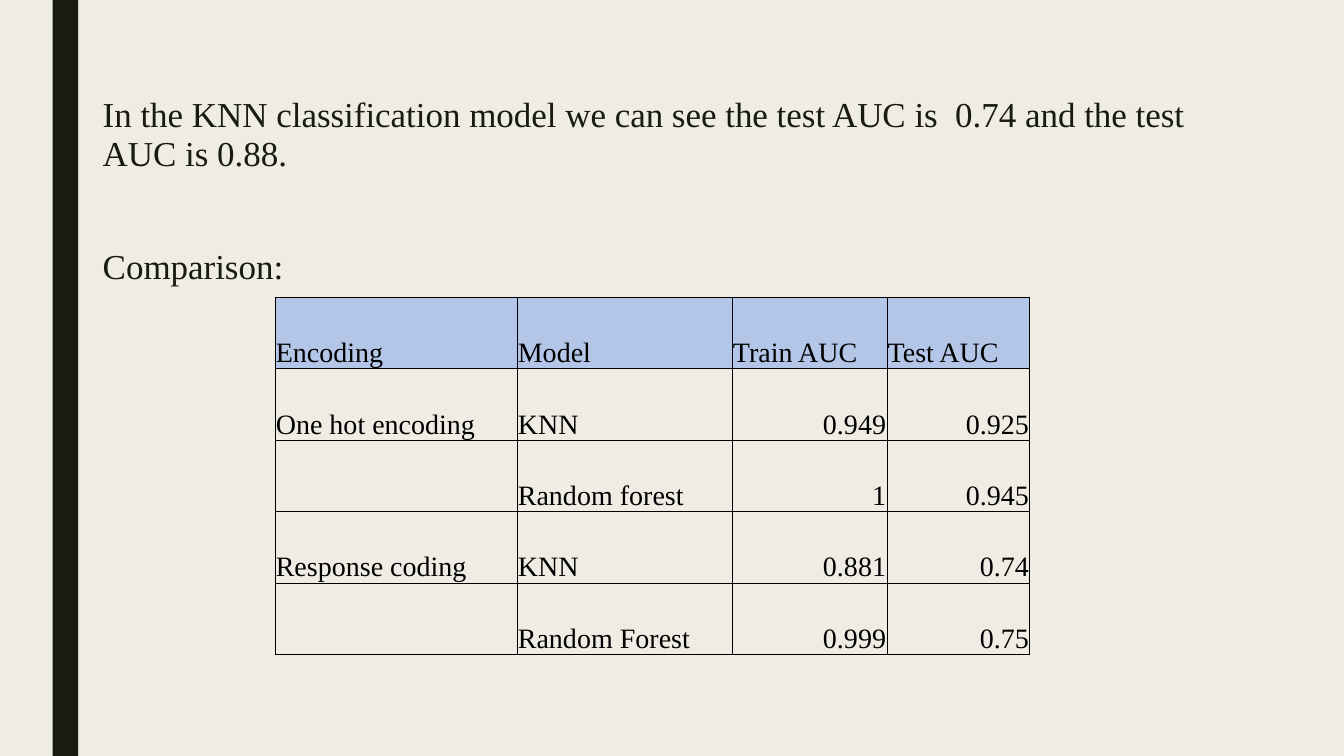
import pptx
import pptx.util
import pptx.dml.color
import pptx.enum.shapes
import pptx.enum.text
import pptx.oxml
import pptx.oxml.ns
import lxml.etree

Cm = pptx.util.Cm
Pt = pptx.util.Pt

COLORS = {"background": "EFEDE3", "ink": "191B0E", "header": "B4C6E7", "table": "000000"}
FONT = "Times New Roman"
STATEMENTS = [
    ("In the KNN classification model we can see the test AUC is  0.74 and the test AUC is 0.88. ", 10),
    ("Comparison:", 50),
]
RESULTS = [
    ("Encoding", "Model", "Train AUC", "Test AUC"),
    ("One hot encoding", "KNN", "0.949", "0.925"),
    ("", "Random forest", "1", "0.945"),
    ("Response coding", "KNN", "0.881", "0.74"),
    ("", "Random Forest", "0.999", "0.75"),
]
COLUMN_WIDTHS = [6.1, 5.42, 3.9, 3.6]
ROW_HEIGHT = 1.8
FIRST_NUMBER_COLUMN = 2


def rgb(name):
    return pptx.dml.color.RGBColor.from_string(COLORS[name])


def style_font(font, size, color):
    font.name = FONT
    font.size = Pt(size)
    font.color.rgb = rgb(color)


def add_borders(cell):
    properties = cell._tc.get_or_add_tcPr()
    for position, side in enumerate(("lnL", "lnR", "lnT", "lnB")):
        border = pptx.oxml.parse_xml(
            f'<a:{side} {pptx.oxml.ns.nsdecls("a")} w="{Pt(0.5)}"><a:solidFill>'
            f'<a:srgbClr val="{COLORS["table"]}"/></a:solidFill></a:{side}>'
        )
        properties.insert(position, border)


presentation = pptx.Presentation()
presentation.slide_width = Cm(33.87)
presentation.slide_height = Cm(19.05)
slide = presentation.slides.add_slide(presentation.slide_layouts[6])
slide.background.fill.solid()
slide.background.fill.fore_color.rgb = rgb("background")

side_bar = slide.shapes.add_shape(
    pptx.enum.shapes.MSO_SHAPE.RECTANGLE, Cm(1.33), 0, Cm(0.64), presentation.slide_height
)
side_bar.shadow.inherit = False
side_bar.fill.solid()
side_bar.fill.fore_color.rgb = rgb("ink")
side_bar.line.fill.background()

text_frame = slide.shapes.add_textbox(Cm(2.34), Cm(2.29), Cm(29.21), Cm(14.86)).text_frame
text_frame.word_wrap = True
text_frame.text = "\n".join(text for text, space in STATEMENTS)
for paragraph, (text, space) in zip(text_frame.paragraphs, STATEMENTS):
    paragraph.line_spacing = 0.94
    paragraph.space_before = Pt(space)
    paragraph.space_after = Pt(2)
    style_font(paragraph.runs[0].font, 25, "ink")

table = slide.shapes.add_table(
    len(RESULTS), len(COLUMN_WIDTHS), Cm(6.93), Cm(7.49),
    Cm(sum(COLUMN_WIDTHS)), Cm(ROW_HEIGHT * len(RESULTS)),
).table
table.horz_banding = False
for column, width in zip(table.columns, COLUMN_WIDTHS):
    column.width = Cm(width)
for row_index, values in enumerate(RESULTS):
    table.rows[row_index].height = Cm(ROW_HEIGHT)
    for column_index, value in enumerate(values):
        cell = table.cell(row_index, column_index)
        cell.text_frame.text = value
        cell.vertical_anchor = pptx.enum.text.MSO_ANCHOR.BOTTOM
        cell.margin_left = cell.margin_right = cell.margin_top = Cm(0.02)
        cell.margin_bottom = 0
        if row_index == 0:
            cell.fill.solid()
            cell.fill.fore_color.rgb = rgb("header")
        else:
            cell.fill.background()
        add_borders(cell)
        paragraph = cell.text_frame.paragraphs[0]
        if row_index > 0 and column_index >= FIRST_NUMBER_COLUMN:
            paragraph.alignment = pptx.enum.text.PP_ALIGN.RIGHT
        for run in paragraph.runs:
            style_font(run.font, 20, "table")
            run.font.bold = False

presentation.save("out.pptx")
